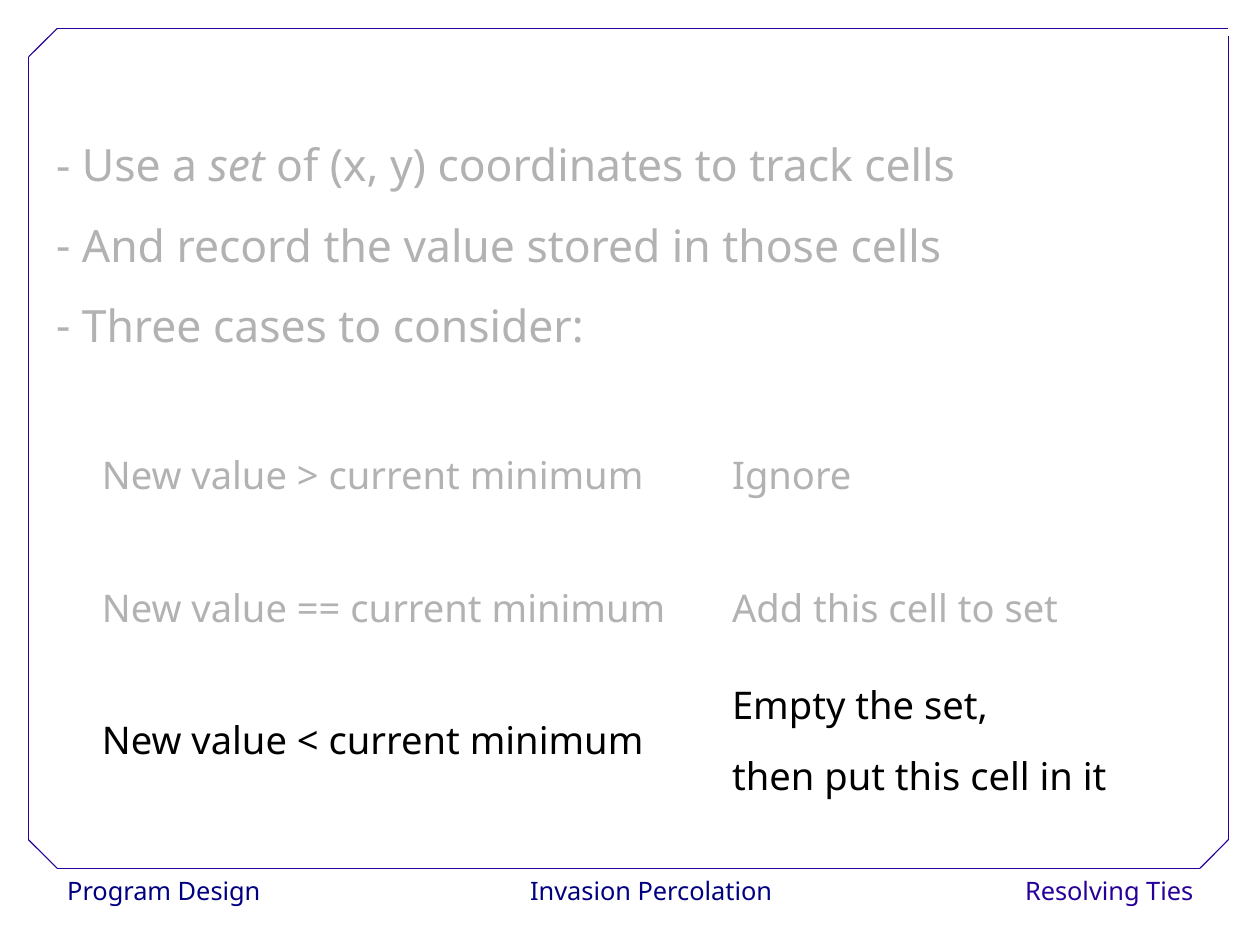
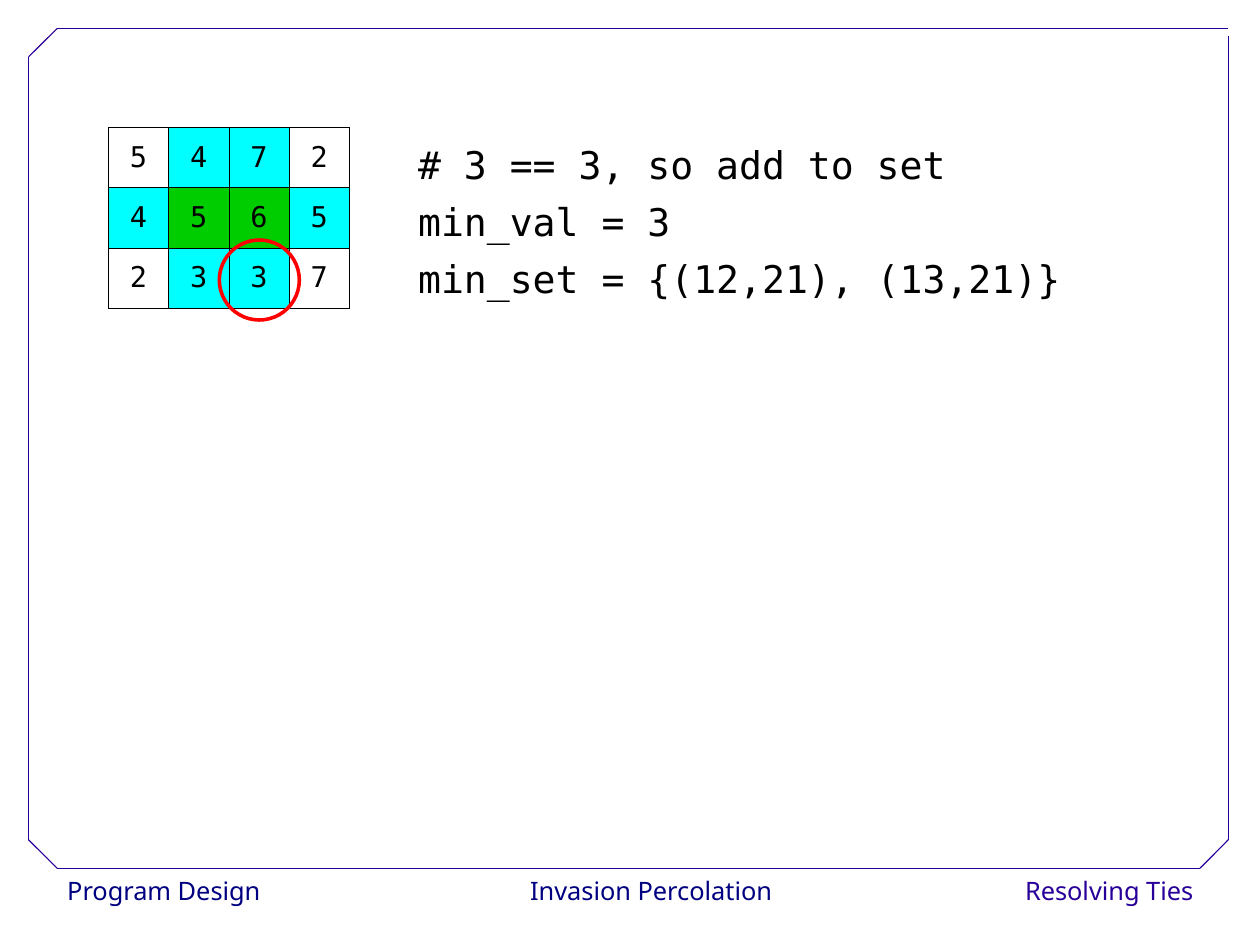
from lxml.etree import SubElement
from pptx import Presentation
from pptx.dml.color import RGBColor
from pptx.enum.shapes import MSO_CONNECTOR as Connector, MSO_SHAPE as Preset
from pptx.enum.text import MSO_ANCHOR as Anchor, MSO_AUTO_SIZE as AutoSize, PP_ALIGN as Align
from pptx.oxml.ns import qn
from pptx.util import Pt

COLORS = {
    "frame": "280099", "footer": "000080", "dimmed": "B2B2B2", "text": "000000",
    "paper": "FFFFFF", "edge": "00FFFF", "filled": "00CD00", "ring": "FF0000",
}
SANS, MONO = "Noto Sans", "DejaVu Sans Mono"

# Frame edges and corner cuts
LEFT, CUT_LEFT, CUT_RIGHT, RIGHT = 18, 36, 756, 773.8
TOP, CUT_TOP, CUT_BOTTOM, BOTTOM = 18, 35.8, 529, 546.9
GAP_TOP = 23
FOOTER_TOP = 546
FRAME_LINES = [
    (CUT_LEFT, BOTTOM, CUT_RIGHT, BOTTOM),
    (LEFT, CUT_BOTTOM, LEFT, CUT_TOP),
    (CUT_LEFT, TOP, RIGHT, TOP),
    (RIGHT, CUT_BOTTOM, RIGHT, GAP_TOP),
    (LEFT, CUT_TOP, CUT_LEFT, TOP),
    (CUT_RIGHT, BOTTOM, RIGHT, CUT_BOTTOM),
    (LEFT, CUT_BOTTOM, CUT_LEFT, BOTTOM),
]
FOOTERS = [
    ("Program Design", 35.3, 129.6, Align.LEFT, "footer"),
    ("Invasion Percolation", 329.6, 161.3, Align.CENTER, "footer"),
    ("Resolving Ties", 658.1, 100.8, Align.RIGHT, "frame"),
]


def rgb(name):
    return RGBColor.from_string(COLORS[name])


def set_all(target, values):
    for name, value in values.items():
        setattr(target, name, value)


def write(frame, lines, size, font, color, **paragraph_format):
    """Fill a text frame; each line is a string or a list of (text, italic) runs."""
    for index, line in enumerate(lines):
        paragraph = frame.paragraphs[0] if index == 0 else frame.add_paragraph()
        set_all(paragraph, paragraph_format)
        for text, italic in [(line, None)] if isinstance(line, str) else line:
            run = paragraph.add_run()
            run.text = text
            set_all(run.font, {"size": Pt(size), "name": font, "italic": italic})
            run.font.color.rgb = rgb(color)


def add_line(slide, ends, color):
    line = slide.shapes.add_connector(Connector.STRAIGHT, *map(Pt, ends))
    line.line.color.rgb = rgb(color)
    line.line.width = Pt(0.75)
    SubElement(line.element.spPr, qn("a:effectLst"))
    return line


def add_footer(slide, text, left, width, align, color):
    box = slide.shapes.add_shape(Preset.RECTANGLE, *map(Pt, (left, FOOTER_TOP, width, 28.8)))
    box.shadow.inherit = False
    box.fill.solid()
    box.fill.fore_color.rgb = rgb("paper")
    box.line.fill.background()
    set_all(box.text_frame, {"word_wrap": False, "vertical_anchor": Anchor.MIDDLE})
    write(box.text_frame, [text], 16, SANS, color, alignment=align, line_spacing=1.02)
    return box


def move_to_master(presentation, shapes):
    tree = presentation.slide_master.element.cSld.spTree
    for number, shape in enumerate(shapes, start=101):
        shape.element.xpath(".//p:cNvPr")[0].set("id", str(number))
        tree.append(shape.element)


def add_dash_list(slide, box, lines):
    body = slide.placeholders[1]
    set_all(body, dict(zip(("left", "top", "width", "height"), map(Pt, box))))
    set_all(body.text_frame, {"word_wrap": True, "auto_size": AutoSize.NONE})
    write(body.text_frame, lines, 28, SANS, "dimmed", line_spacing=1.5, space_before=Pt(0))
    hang = Pt(16.3)
    for paragraph in body.text_frame.paragraphs:
        properties = paragraph._p.get_or_add_pPr()
        properties.set("marL", str(hang))
        properties.set("indent", str(-hang))
        SubElement(properties, qn("a:buFont")).set("typeface", SANS)
        SubElement(properties, qn("a:buChar")).set("char", "-")


def add_plain_table(slide, left, top, widths, row_height, row_count):
    frame = slide.shapes.add_table(
        row_count, len(widths), *map(Pt, (left, top, sum(widths), row_height * row_count)))
    table = frame.table
    set_all(table, {"first_row": False, "horz_banding": False})
    for column, width in zip(table.columns, widths):
        column.width = Pt(width)
    for row in table.rows:
        row.height = Pt(row_height)
    for cell in table.iter_cells():
        cell.vertical_anchor = Anchor.MIDDLE
        cell.fill.background()
    return table


def add_borders(cell, color, width):
    properties = cell._tc.get_or_add_tcPr()
    for index, side in enumerate(("lnL", "lnR", "lnT", "lnB")):
        line = properties.makeelement(qn("a:" + side), {"w": str(Pt(width))})
        fill = SubElement(line, qn("a:solidFill"))
        SubElement(fill, qn("a:srgbClr")).set("val", COLORS[color])
        properties.insert(index, line)


def add_case_table(slide, cases):
    table = add_plain_table(slide, 57, 257.6, (397, 294.5), 83.5, len(cases))
    for row, (condition, action, color) in enumerate(cases):
        for column, lines in enumerate(([condition], action)):
            write(table.cell(row, column).text_frame, lines, 24, SANS, color,
                  line_spacing=0.93, space_after=Pt(14.3))


def add_number_grid(slide, rows, fills):
    table = add_plain_table(slide, 68.2, 80, [38] * len(rows[0]), 38, len(rows))
    for row, numbers in enumerate(rows):
        for column, number in enumerate(numbers):
            cell = table.cell(row, column)
            write(cell.text_frame, [number], 18, MONO, "text",
                  alignment=Align.CENTER, line_spacing=1.02)
            if (row, column) in fills:
                cell.fill.solid()
                cell.fill.fore_color.rgb = rgb(fills[row, column])
            add_borders(cell, "text", 0.06)


def add_ring(slide, left, top, size):
    ring = slide.shapes.add_shape(Preset.OVAL, *map(Pt, (left, top, size, size)))
    ring.shadow.inherit = False
    ring.fill.background()
    ring.line.color.rgb = rgb("ring")
    ring.line.width = Pt(2.25)


def add_code(slide, box, lines):
    frame = slide.shapes.add_textbox(*map(Pt, box)).text_frame
    frame.word_wrap = True
    write(frame, lines, 24, MONO, "text", line_spacing=1.25)


def main():
    presentation = Presentation()
    set_all(presentation, {"slide_width": Pt(793.75), "slide_height": Pt(595.25)})
    layouts = presentation.slide_layouts

    # Slide 1: the three cases
    cases_slide = presentation.slides.add_slide(layouts[1])
    title = cases_slide.shapes.title.element
    title.getparent().remove(title)

    # Shared frame and footers, kept on the master
    shared = [add_footer(cases_slide, *footer) for footer in FOOTERS]
    shared += [add_line(cases_slide, ends, "frame") for ends in FRAME_LINES]
    move_to_master(presentation, shared)

    add_dash_list(cases_slide, (28.1, 66.2, 653.8, 158.4), [
        [("Use a ", None), ("set", True), (" of (x, y) coordinates to track cells", None)],
        "And record the value stored in those cells",
        "Three cases to consider:",
    ])
    add_case_table(cases_slide, [
        ("New value > current minimum", ["Ignore"], "dimmed"),
        ("New value == current minimum", ["Add this cell to set"], "dimmed"),
        ("New value < current minimum", ["Empty the set,", "then put this cell in it"], "text"),
    ])

    # Slide 2: a tie on the grid
    tie_slide = presentation.slides.add_slide(layouts[6])
    fills = dict.fromkeys([(0, 1), (0, 2), (1, 0), (1, 3), (2, 1), (2, 2)], "edge")
    fills.update(dict.fromkeys([(1, 1), (1, 2)], "filled"))
    add_number_grid(tie_slide, ["5472", "4565", "2337"], fills)
    add_ring(tie_slide, 138.2, 151.2, 50.4)
    add_code(tie_slide, (256.3, 78.2, 467.3, 118), [
        "# 3 == 3, so add to set",
        "min_val = 3",
        "min_set = {(12,21), (13,21)}",
    ])

    presentation.save("out.pptx")


if __name__ == "__main__":
    main()
